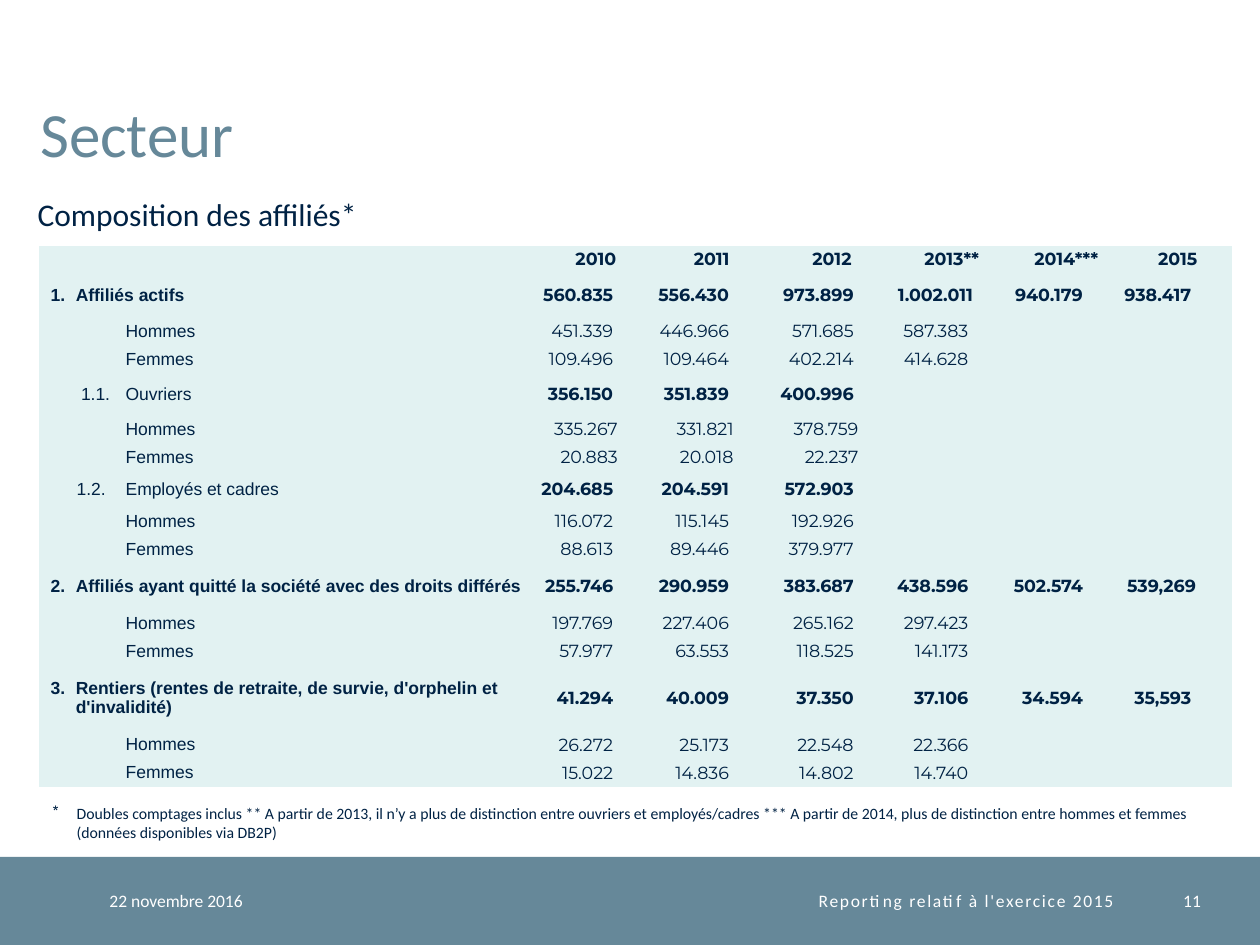
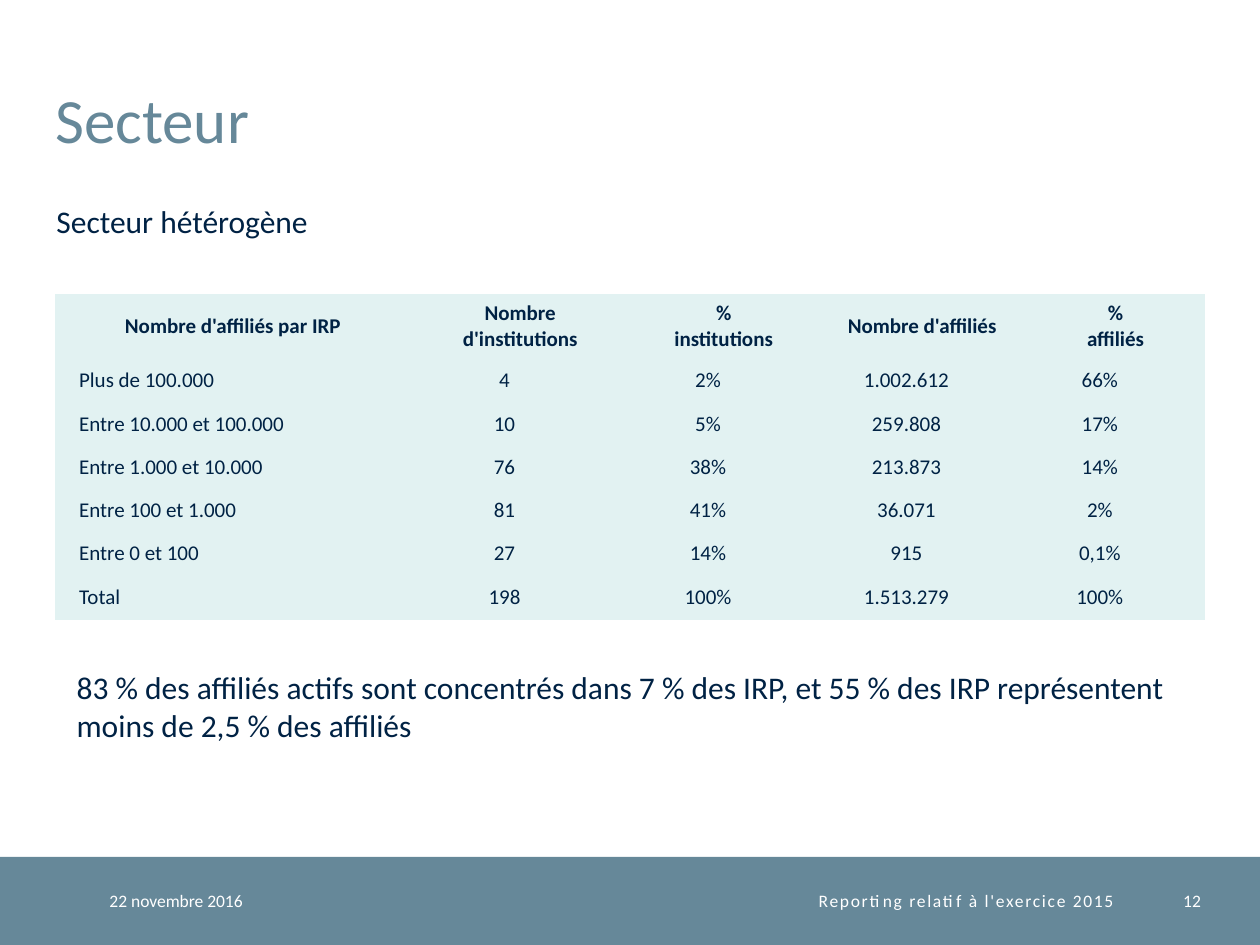
"""Build two slides on the composition of a pension sector."""
import dataclasses

import pptx
import pptx.dml.color
import pptx.enum.shapes
import pptx.enum.text
import pptx.oxml.ns
import pptx.util
from lxml import etree

Pt = pptx.util.Pt
ALIGN = pptx.enum.text.PP_ALIGN
ANCHOR = pptx.enum.text.MSO_ANCHOR


@dataclasses.dataclass(frozen=True)
class Theme:
    """Colours, fonts and type sizes of the presentation."""
    slate: str = "668899"
    navy: str = "002244"
    white: str = "FFFFFF"
    table_fill: str = "E2F2F2"
    font: str = "Calibri"
    label_font: str = "Arial"
    number_font: str = "Montserrat"
    title_size: int = 36
    body_size: int = 18
    table_size: int = 12
    small_size: int = 10
    note_size: int = 9


THEME = Theme()
SLIDE_WIDTH, SLIDE_HEIGHT = 720, 540
BAND_TOP, BAND_HEIGHT = 489.6, 50.4
PLAIN_TABLE_STYLE = "{2D5ABB26-0587-4C30-8999-92F81FD0307C}"
NUMBER_INSET = 18
SPACED_INSET = 23.3
TIGHT_INSET = 20.6
NEAR_EDGE_VALUES = {"1.002.011", "539,269"}
DETAIL_HEIGHT = 16

YEARS = ["2010", "2011", "2012", "2013**", "2014***", "2015"]
GROUPS = [
    ("1.\tAffiliés actifs", 25, (21, -14.4),
     "560.835 556.430 973.899 1.002.011 940.179 938.417",
     "451.339 446.966 571.685 587.383", "109.496 109.464 402.214 414.628"),
    ("1.1.\tOuvriers", 24, (49.5, -25.5), "356.150 351.839 400.996",
     "335.267 331.821 378.759", "20.883 20.018 22.237"),
    ("1.2.\tEmployés et cadres", 20.5, (49.5, -28), "204.685 204.591 572.903",
     "116.072 115.145 192.926", "88.613 89.446 379.977"),
    ("2.\tAffiliés ayant quitté la société avec des droits différés", 26.5, (21, -14.4),
     "255.746 290.959 383.687 438.596 502.574 539,269",
     "197.769 227.406 265.162 297.423", "57.977 63.553 118.525 141.173"),
    ("3.\tRentiers (rentes de retraite, de survie, d'orphelin et d'invalidité)", 37.5,
     (21, -14.4), "41.294 40.009 37.350 37.106 34.594 35,593",
     "26.272 25.173 22.548 22.366", "15.022 14.836 14.802 14.740"),
]
INSTITUTION_HEADINGS = ["Nombre d'affiliés par IRP", "Nombre\nd'institutions",
                        "%\ninstitutions", "Nombre d'affiliés", "%\naffiliés"]
INSTITUTIONS = [
    ("Plus de 100.000", "4", "2%", "1.002.612", "66%"),
    ("Entre 10.000 et 100.000", "10", "5%", "259.808", "17%"),
    ("Entre 1.000 et 10.000", "76", "38%", "213.873", "14%"),
    ("Entre 100 et 1.000", "81", "41%", "36.071", "2%"),
    ("Entre 0 et 100", "27", "14%", "915", "0,1%"),
    ("Total", "198", "100%", "1.513.279", "100%"),
]


def rgb(colour):
    """Return a colour object for a hexadecimal string."""
    return pptx.dml.color.RGBColor.from_string(colour)


def set_indent(paragraph, left, first=0):
    """Set the left margin and first-line indent of a paragraph."""
    properties = paragraph._p.get_or_add_pPr()
    properties.set("marL", str(Pt(left)))
    properties.set("indent", str(Pt(first)))


def write(text_frame, text, size, colour=THEME.navy, font=THEME.font, bold=False,
          align=ALIGN.LEFT):
    """Fill a text frame and format all its runs."""
    text_frame.text = text
    for paragraph in text_frame.paragraphs:
        paragraph.alignment = align
        for run in paragraph.runs:
            run.font.size = Pt(size)
            run.font.name = font
            run.font.bold = bold
            run.font.color.rgb = rgb(colour)


def add_text(slide, box, text, size, colour=THEME.navy, align=ALIGN.LEFT, anchor=None):
    """Add a wrapping text box; an anchored one has no insets."""
    text_frame = slide.shapes.add_textbox(*map(Pt, box)).text_frame
    text_frame.word_wrap = True
    if anchor is not None:
        text_frame.vertical_anchor = anchor
        text_frame.margin_left = text_frame.margin_right = 0
        text_frame.margin_top = text_frame.margin_bottom = 0
    write(text_frame, text, size, colour, align=align)
    return text_frame


def add_title(slide, left, top):
    """Add the slide title."""
    text_frame = add_text(slide, (left, top, 621.4, 77.8), "Secteur", THEME.title_size,
                          THEME.slate, anchor=ANCHOR.BOTTOM)
    text_frame.paragraphs[0].line_spacing = Pt(32)


def add_footer(slide, number):
    """Add the bottom band with date, report name and slide number."""
    band = slide.shapes.add_shape(pptx.enum.shapes.MSO_SHAPE.RECTANGLE, 0, Pt(BAND_TOP),
                                  Pt(SLIDE_WIDTH), Pt(BAND_HEIGHT))
    band.shadow.inherit = False
    band.fill.solid()
    band.fill.fore_color.rgb = rgb(THEME.slate)
    band.line.fill.background()
    entries = [(62.6, 127.4, "22 novembre 2016", ALIGN.LEFT, 0),
               (190, 446.4, "Reporting relatif à l'exercice 2015", ALIGN.RIGHT, 1),
               (650.9, 35.3, str(number), ALIGN.RIGHT, 0)]
    for left, width, text, align, spacing in entries:
        text_frame = add_text(slide, (left, BAND_TOP, width, BAND_HEIGHT), text,
                              THEME.small_size, THEME.white, align, ANCHOR.MIDDLE)
        if spacing:
            properties = text_frame.paragraphs[0].runs[0].font._element
            properties.set("spc", str(spacing * 100))


def add_plain_table(slide, left, top, widths, heights):
    """Add a table of tinted cells without borders or insets."""
    table = slide.shapes.add_table(len(heights), len(widths), Pt(left), Pt(top),
                                   Pt(sum(widths)), Pt(sum(heights))).table
    table.first_row = table.horz_banding = False
    table._tbl.tblPr.find(pptx.oxml.ns.qn("a:tableStyleId")).text = PLAIN_TABLE_STYLE
    for column, width in zip(table.columns, widths):
        column.width = Pt(width)
    for row, height in zip(table.rows, heights):
        row.height = Pt(height)
    for cell in table.iter_cells():
        cell.fill.solid()
        cell.fill.fore_color.rgb = rgb(THEME.table_fill)
        cell.vertical_anchor = ANCHOR.MIDDLE
        cell.margin_left = cell.margin_right = cell.margin_top = cell.margin_bottom = 0
        end_format = cell.text_frame.paragraphs[0]._p.get_or_add_endParaRPr()
        end_format.set("sz", str(THEME.small_size * 100))
    return table


def fill_member_row(table, row, label, indent, values, label_bold, values_bold, inset):
    """Write one label and its yearly figures."""
    cell = table.cell(row, 0)
    write(cell.text_frame, label, THEME.small_size, font=THEME.label_font, bold=label_bold)
    set_indent(cell.text_frame.paragraphs[0], *indent)
    for column, value in enumerate(values.split(), 1):
        cell = table.cell(row, column)
        cell.margin_right = Pt(TIGHT_INSET if value in NEAR_EDGE_VALUES else inset)
        write(cell.text_frame, value, THEME.small_size, font=THEME.number_font,
              bold=values_bold, align=ALIGN.RIGHT)


def add_member_table(slide):
    """Add the table of members by year, status and sex."""
    heights = [DETAIL_HEIGHT]
    for group in GROUPS:
        heights += [group[1], DETAIL_HEIGHT, DETAIL_HEIGHT]
    widths = [285.1, 66.2, 66.2, 71.3, 65.5, 65.5, 61.9]
    table = add_plain_table(slide, 22.3, 140.4, widths, heights)
    for column, year in enumerate(YEARS, 1):
        write(table.cell(0, column).text_frame, year, THEME.small_size,
              font=THEME.number_font, bold=True, align=ALIGN.CENTER)
    for index, (label, _, indent, totals, men, women) in enumerate(GROUPS):
        row = 1 + 3 * index
        is_subgroup = label.startswith("1.1") or label.startswith("1.2")
        fill_member_row(table, row, label, indent, totals, not is_subgroup, True,
                        SPACED_INSET)
        inset = TIGHT_INSET if label.startswith("1.1") else SPACED_INSET
        for offset, (sex, values) in enumerate([("Hommes", men), ("Femmes", women)], 1):
            fill_member_row(table, row + offset, sex, (49.5, 0), values, False, False, inset)


def add_institution_table(slide):
    """Add the table of institutions by number of members."""
    heights = [37.4] + [24.7] * 5 + [25.9]
    table = add_plain_table(slide, 31.2, 167.8, [203.8, 124.6, 108, 118.8, 102.2], heights)
    for column, heading in enumerate(INSTITUTION_HEADINGS):
        write(table.cell(0, column).text_frame, heading, THEME.table_size, bold=True,
              align=ALIGN.CENTER)
    for row, values in enumerate(INSTITUTIONS, 1):
        for column, value in enumerate(values):
            cell = table.cell(row, column)
            if column:
                cell.margin_right = Pt(NUMBER_INSET)
            write(cell.text_frame, value, THEME.table_size,
                  align=ALIGN.CENTER if column else ALIGN.LEFT)
        set_indent(table.cell(row, 0).text_frame.paragraphs[0], 14)


def add_footnote(slide, text):
    """Add a small note with an asterisk as its bullet."""
    paragraph = add_text(slide, (23, 455.8, 663.1, 29), text, THEME.note_size).paragraphs[0]
    set_indent(paragraph, 13.7, -13.7)
    bullet = etree.SubElement(paragraph._p.get_or_add_pPr(), pptx.oxml.ns.qn("a:buChar"))
    bullet.set("char", "*")


def add_composition_slide(presentation):
    """Add the slide on the composition of the members."""
    slide = presentation.slides.add_slide(presentation.slide_layouts[6])
    add_footer(slide, 11)
    add_title(slide, 23, 19.4)
    add_text(slide, (14.4, 108, 266.4, 29), "Composition des affiliés*", THEME.body_size)
    add_member_table(slide)
    add_footnote(slide, "Doubles comptages inclus ** A partir de 2013, il n’y a plus de "
                 "distinction entre ouvriers et employés/cadres *** A partir de 2014, plus "
                 "de distinction entre hommes et femmes (données disponibles via DB2P)")


def add_diversity_slide(presentation):
    """Add the slide on the diversity of the sector."""
    slide = presentation.slides.add_slide(presentation.slide_layouts[6])
    add_footer(slide, 12)
    add_title(slide, 31.7, 11.5)
    add_text(slide, (25.2, 111.6, 232.6, 29), "Secteur hétérogène", THEME.body_size)
    add_institution_table(slide)
    add_text(slide, (36.7, 378, 652.3, 51), "83 % des affiliés actifs sont concentrés dans "
             "7 % des IRP, et 55 % des IRP représentent moins de 2,5 % des affiliés",
             THEME.body_size)


def main():
    """Build and save the presentation."""
    presentation = pptx.Presentation()
    presentation.slide_width = Pt(SLIDE_WIDTH)
    presentation.slide_height = Pt(SLIDE_HEIGHT)
    add_composition_slide(presentation)
    add_diversity_slide(presentation)
    presentation.save("out.pptx")


if __name__ == "__main__":
    main()
